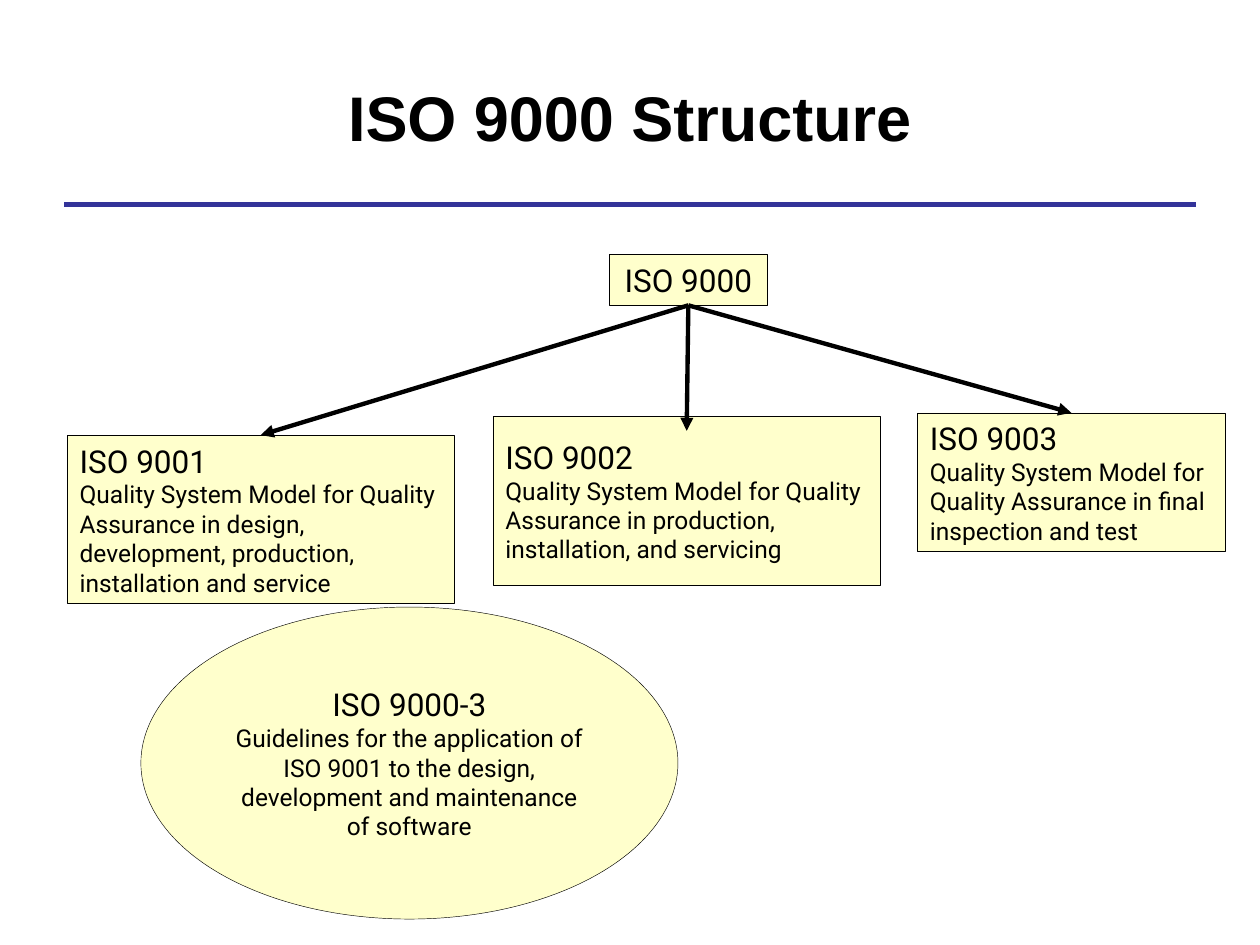
import pptx
import pptx.util
import pptx.dml.color
import pptx.enum.shapes
import pptx.enum.text
import pptx.oxml.ns
import lxml.etree

Pt = pptx.util.Pt
SHAPES = pptx.enum.shapes.MSO_SHAPE
ALIGN = pptx.enum.text.PP_ALIGN
AUTO_SIZE = pptx.enum.text.MSO_AUTO_SIZE
qn = pptx.oxml.ns.qn

COLORS = {"ink": "000000", "box": "FFFFCC", "rule": "333399"}
TOP_SIDE, BOTTOM_SIDE = 0, 2


def color(key):
    return pptx.dml.color.RGBColor.from_string(COLORS[key])


def write_lines(frame, lines, align, font_name, sizes, bold=False):
    """Fill a text frame with one paragraph per line, centred vertically."""
    frame.vertical_anchor = pptx.enum.text.MSO_ANCHOR.MIDDLE
    frame.text = "\n".join(lines)
    for paragraph, size in zip(frame.paragraphs, sizes):
        paragraph.alignment = align
        font = paragraph.runs[0].font
        font.name, font.size, font.bold = font_name, Pt(size), bold
        font.color.rgb = color("ink")


def add_title(slide, text):
    title = slide.shapes.add_textbox(Pt(36), Pt(21.6), Pt(648), Pt(90))
    title.text_frame.word_wrap = True
    write_lines(title.text_frame, [text], ALIGN.CENTER, "Arial", [36], bold=True)


def add_node(slide, bounds, lines, align=ALIGN.LEFT, kind=SHAPES.RECTANGLE,
             wrap=True, auto_size=AUTO_SIZE.SHAPE_TO_FIT_TEXT):
    """Add a standard: its name, then an optional smaller description."""
    node = slide.shapes.add_shape(kind, *[Pt(length) for length in bounds])
    node.shadow.inherit = False
    node.fill.solid()
    node.fill.fore_color.rgb = color("box")
    node.line.color.rgb = color("ink")
    node.line.width = Pt(0.25)
    node.text_frame.word_wrap = wrap
    node.text_frame.auto_size = auto_size
    write_lines(node.text_frame, lines, align, "Roboto", [18, 14])
    return node


def add_line(slide, start, end, color_key, width, arrow=False):
    line = slide.shapes.add_connector(
        pptx.enum.shapes.MSO_CONNECTOR.STRAIGHT,
        *[Pt(length) for length in start + end])
    line.line.color.rgb = color(color_key)
    line.line.width = Pt(width)
    if arrow:
        lxml.etree.SubElement(line.line._get_or_add_ln(), qn("a:tailEnd"),
                              type="triangle")
    lxml.etree.SubElement(line._element.spPr, qn("a:effectLst"))
    return line


def main():
    presentation = pptx.Presentation()
    presentation.slide_width, presentation.slide_height = Pt(720), Pt(540)
    slide = presentation.slides.add_slide(presentation.slide_layouts[6])

    # Heading and its rule
    add_line(slide, (36.8, 116.8), (683.2, 116.8), "rule", 3)
    add_title(slide, "ISO 9000 Structure")

    # Standards family
    family = add_node(slide, (348.2, 145.4, 90.3, 29.1), ["ISO 9000"],
                      ALIGN.CENTER, wrap=False)
    model = "Quality System Model for Quality Assurance in "
    design = add_node(slide, (38.4, 248.6, 221.2, 96.3), [
        "ISO 9001",
        model + "design, development, production, installation and service"])
    add_node(slide, (281.7, 238, 221.2, 96.3), [
        "ISO 9002", model + "production, installation, and servicing"])
    inspection = add_node(slide, (524.3, 235.9, 175.8, 79.1), [
        "ISO 9003", model + "final inspection and test"])

    # Software guidelines
    add_node(slide, (80.5, 346.9, 306.9, 178.3), [
        "ISO 9000-3",
        "Guidelines for the application of ISO 9001 to the design, "
        "development and maintenance of software"],
        ALIGN.CENTER, SHAPES.OVAL, auto_size=AUTO_SIZE.NONE)

    # Arrows from the family; the middle one ends inside its box
    origin = (393.4, 174.5)
    for tip, standard in [((149, 248.6), design), ((392.4, 246.2), None),
                          ((612.2, 235.9), inspection)]:
        arrow = add_line(slide, origin, tip, "ink", 2.5, arrow=True)
        arrow.begin_connect(family, BOTTOM_SIDE)
        if standard is not None:
            arrow.end_connect(standard, TOP_SIDE)

    presentation.save("out.pptx")


if __name__ == "__main__":
    main()
